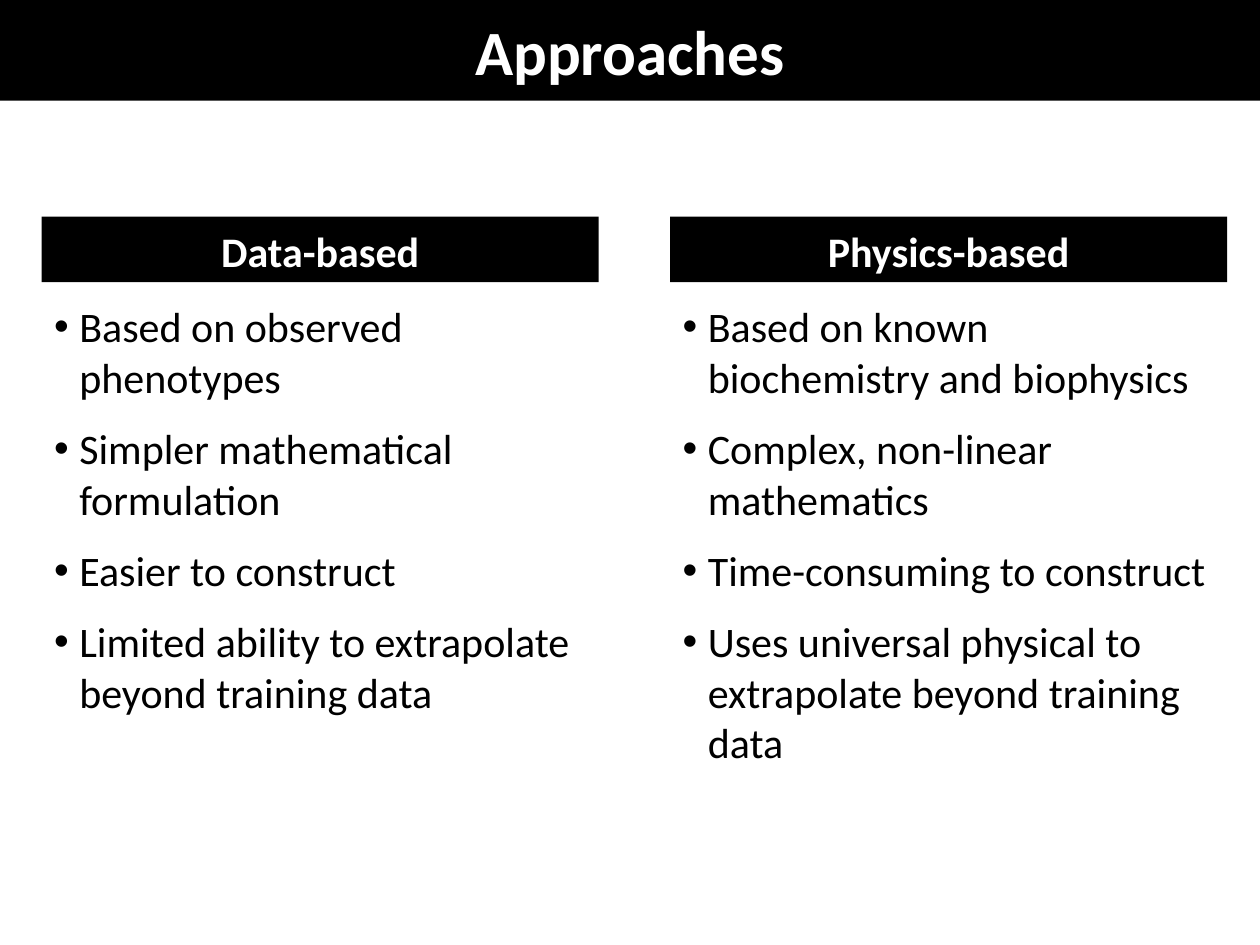
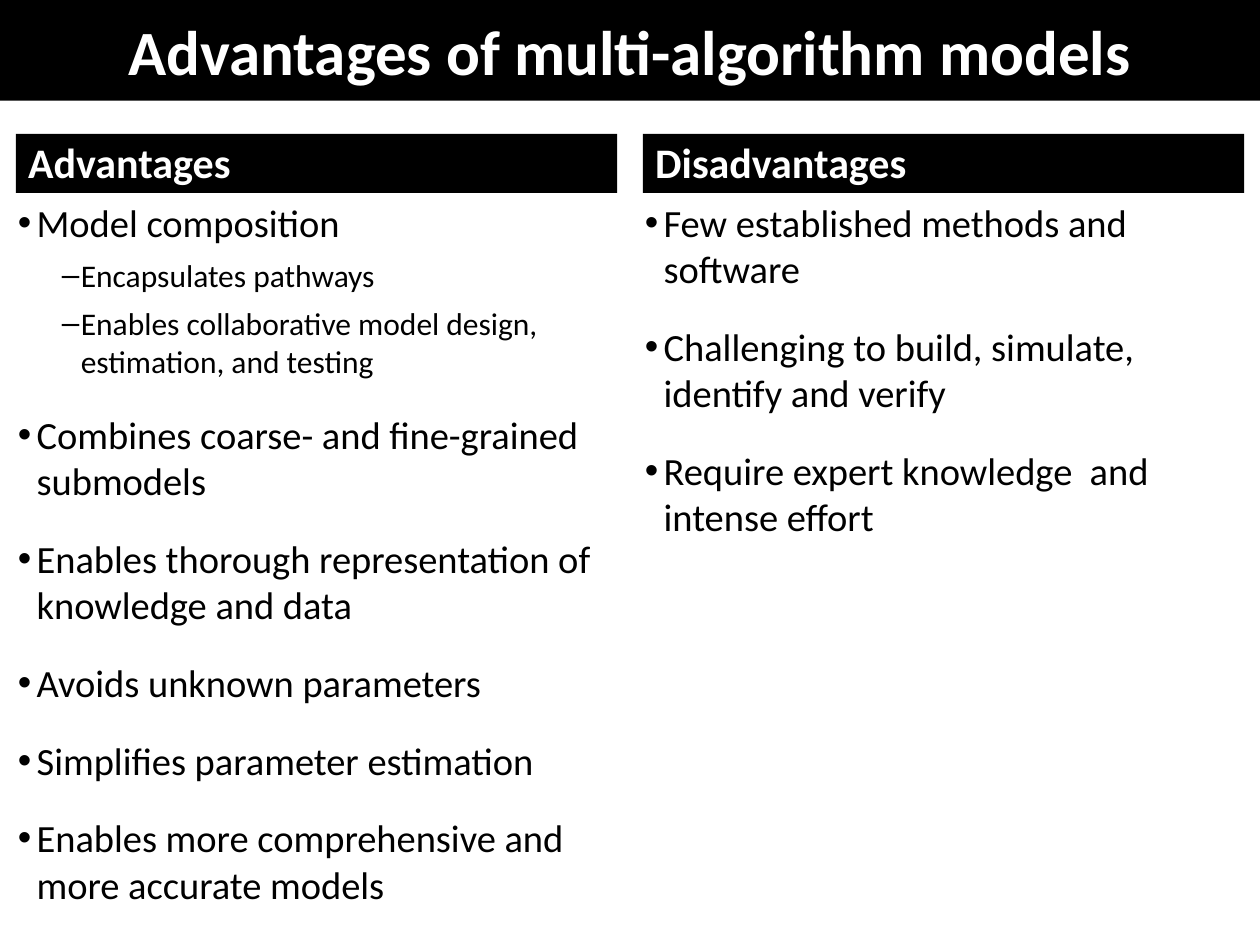
from lxml.etree import SubElement
from pptx import Presentation
from pptx.dml.color import RGBColor
from pptx.enum.shapes import MSO_SHAPE
from pptx.enum.text import MSO_ANCHOR, PP_ALIGN
from pptx.oxml.ns import qn
from pptx.util import Cm, Pt

BLACK = RGBColor(0, 0, 0)
WHITE = RGBColor(255, 255, 255)
FONT = "Calibri"
SLIDE_WIDTH, SLIDE_HEIGHT = 25.4, 19.05
TITLE_HEIGHT = 2.03
MAIN, SUB = 0, 1


def write(frame, text, *, size, color, bold=False, align=PP_ALIGN.LEFT,
          level=0, before=0, bullet=None, indent=0, hanging=0):
    first = not frame.paragraphs[0].runs
    paragraph = frame.paragraphs[0] if first else frame.add_paragraph()
    paragraph.alignment = align
    paragraph.level = level
    paragraph.space_before = Pt(0 if first else before)
    if bullet:
        properties = paragraph._p.get_or_add_pPr()
        properties.set("marL", str(Cm(indent)))
        properties.set("indent", str(-Cm(hanging)))
        SubElement(properties, qn("a:buFont"), typeface="Arial")
        SubElement(properties, qn("a:buChar"), char=bullet)
    run = paragraph.add_run()
    run.text = text
    run.font.name = FONT
    run.font.size = Pt(size)
    run.font.bold = bold
    run.font.color.rgb = color


def add_band(slide, text, left, top, width, height, *, size, anchor, align):
    band = slide.shapes.add_shape(
        MSO_SHAPE.RECTANGLE, Cm(left), Cm(top), Cm(width), Cm(height))
    band.shadow.inherit = False
    band.fill.solid()
    band.fill.fore_color.rgb = BLACK
    band.line.fill.background()
    band.text_frame.word_wrap = True
    band.text_frame.vertical_anchor = anchor
    write(band.text_frame, text, size=size, color=WHITE, bold=True, align=align)
    return band


comparisons = [
    {
        "title": "Approaches",
        "header_align": PP_ALIGN.CENTER,
        "header_left": 0.84, "header_top": 4.37,
        "header_width": 11.23, "header_height": 1.32,
        "list_left": 0.84, "list_top": 5.94,
        "list_width": 11.23, "list_height": 10.97,
        "column_step": 12.67,
        "levels": {
            MAIN: dict(size=24, before=12, bullet="•", indent=0.51, hanging=0.51),
        },
        "columns": [
            ("Data-based", [
                (MAIN, "Based on observed phenotypes"),
                (MAIN, "Simpler mathematical formulation"),
                (MAIN, "Easier to construct"),
                (MAIN, "Limited ability to extrapolate beyond training data"),
            ]),
            ("Physics-based", [
                (MAIN, "Based on known biochemistry and biophysics"),
                (MAIN, "Complex, non-linear mathematics"),
                (MAIN, "Time-consuming to construct"),
                (MAIN, "Uses universal physical to extrapolate beyond training data"),
            ]),
        ],
    },
    {
        "title": "Advantages of multi-algorithm models",
        "header_align": PP_ALIGN.LEFT,
        "header_left": 0.32, "header_top": 2.7,
        "header_width": 12.12, "header_height": 1.19,
        "list_left": 0.11, "list_top": 3.89,
        "list_width": 12.3, "list_height": 14.38,
        "column_step": 12.64,
        "levels": {
            MAIN: dict(size=22, before=18, bullet="•", indent=0.38, hanging=0.38),
            SUB: dict(size=18, before=6, bullet="–", indent=1.27, hanging=0.38),
        },
        "columns": [
            ("Advantages", [
                (MAIN, "Model composition"),
                (SUB, "Encapsulates pathways"),
                (SUB, "Enables collaborative model design, estimation, and testing"),
                (MAIN, "Combines coarse- and fine-grained submodels"),
                (MAIN, "Enables thorough representation of knowledge and data"),
                (MAIN, "Avoids unknown parameters"),
                (MAIN, "Simplifies parameter estimation"),
                (MAIN, "Enables more comprehensive and more accurate models"),
            ]),
            ("Disadvantages", [
                (MAIN, "Few established methods and software"),
                (MAIN, "Challenging to build, simulate, identify and verify"),
                (MAIN, "Require expert knowledge  and intense effort"),
            ]),
        ],
    },
]

deck = Presentation()
deck.slide_width = Cm(SLIDE_WIDTH)
deck.slide_height = Cm(SLIDE_HEIGHT)
blank = deck.slide_layouts[6]

for comparison in comparisons:
    slide = deck.slides.add_slide(blank)
    title = add_band(slide, comparison["title"], 0, 0, SLIDE_WIDTH, TITLE_HEIGHT,
                     size=36, anchor=MSO_ANCHOR.MIDDLE, align=PP_ALIGN.CENTER)
    title_frame = title.text_frame
    title_frame.margin_left = title_frame.margin_right = 0
    title_frame.margin_top = title_frame.margin_bottom = 0

    for column, (heading, points) in enumerate(comparison["columns"]):
        shift = column * comparison["column_step"]
        add_band(slide, heading, comparison["header_left"] + shift,
                 comparison["header_top"], comparison["header_width"],
                 comparison["header_height"], size=24,
                 anchor=MSO_ANCHOR.BOTTOM, align=comparison["header_align"])
        point_list = slide.shapes.add_textbox(
            Cm(comparison["list_left"] + shift), Cm(comparison["list_top"]),
            Cm(comparison["list_width"]), Cm(comparison["list_height"]))
        point_list.text_frame.word_wrap = True
        for level, point in points:
            write(point_list.text_frame, point, color=BLACK, level=level,
                  **comparison["levels"][level])

deck.save("out.pptx")
